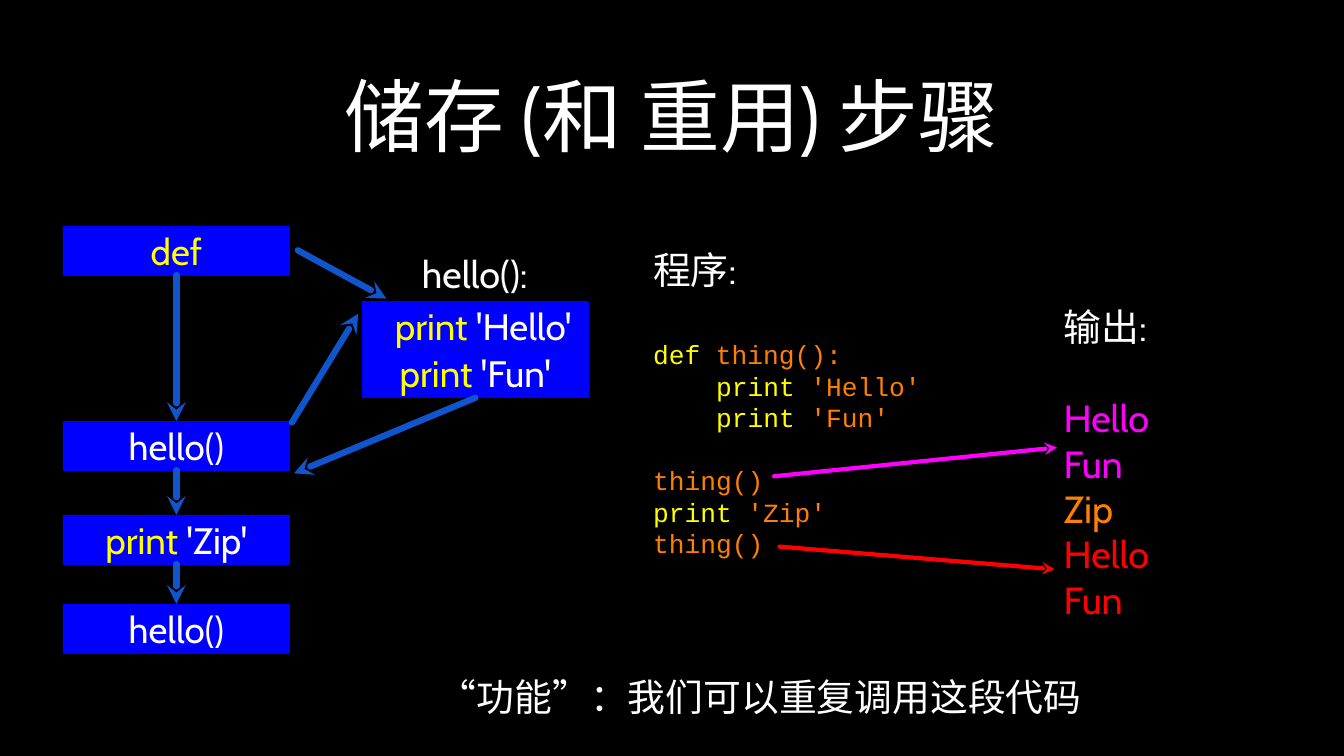
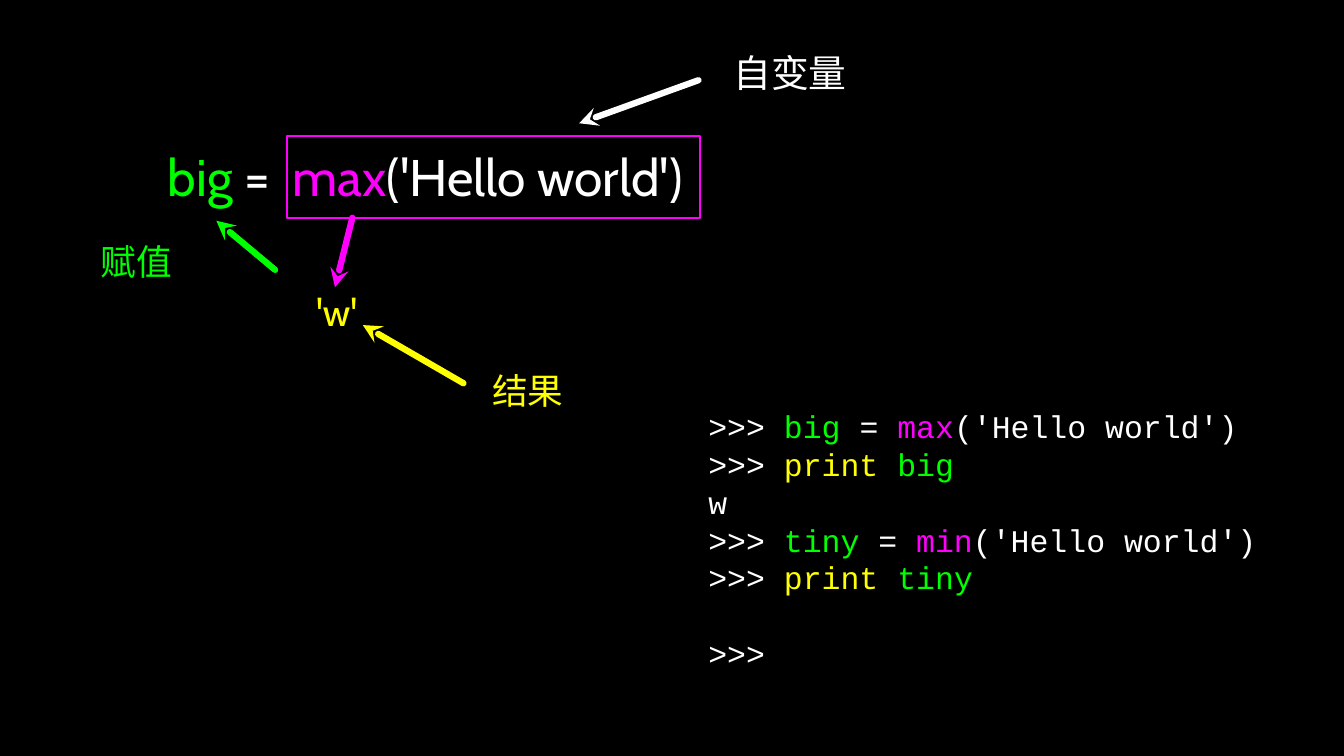
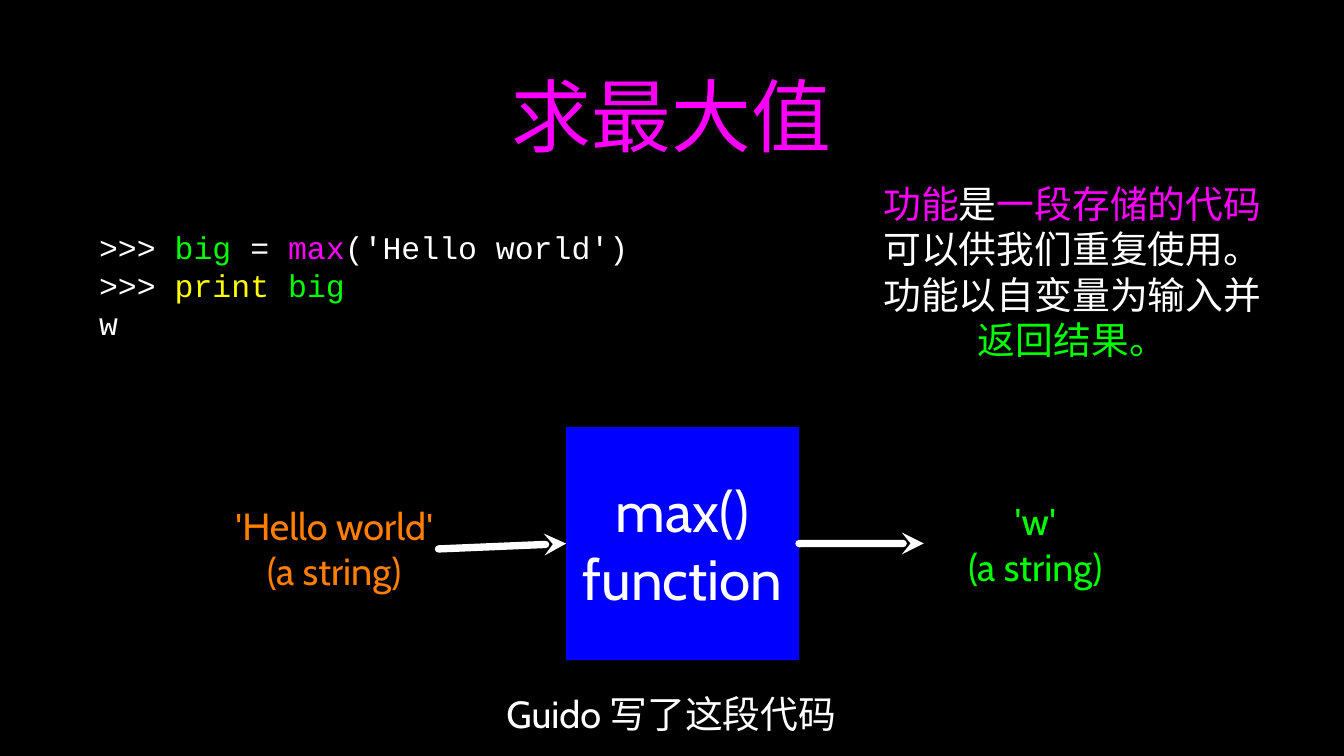
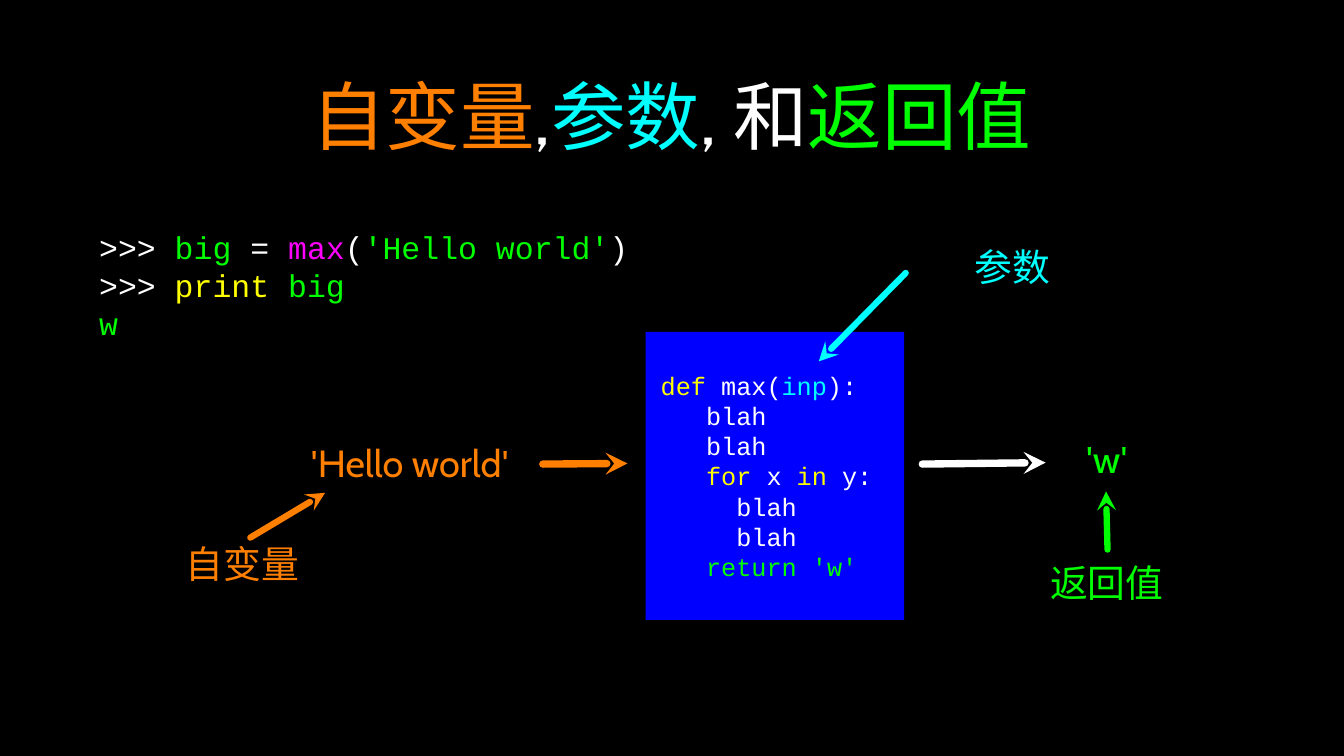
from dataclasses import dataclass
from itertools import pairwise

from lxml.etree import SubElement
from pptx import Presentation
from pptx.dml.color import RGBColor
from pptx.enum.shapes import MSO_CONNECTOR as Connector, MSO_SHAPE as Shape
from pptx.enum.text import MSO_ANCHOR as Anchor, PP_ALIGN as Align
from pptx.oxml.ns import qn
from pptx.util import Inches, Pt

CELL = 20  # points: the slide is a grid of 64 columns by 36 rows
TOP, LEFT, BOTTOM, RIGHT = range(4)


@dataclass(frozen=True)
class Theme:
    back: str = "000000"
    white: str = "FFFFFF"
    box: str = "0000FF"
    flow: str = "1155CC"
    yellow: str = "FFFF00"
    orange: str = "FF7F00"
    magenta: str = "FF00FF"
    red: str = "FF0000"
    green: str = "00FF00"
    cyan: str = "00FFFF"
    sans: str = "Cabin"
    plain: str = "Arial"
    mono: str = "Courier New"
    title: int = 76
    long_title: int = 71
    function: int = 54
    call: int = 49
    body: int = 36
    step: int = 35
    label: int = 34
    session: int = 30
    program: int = 25
    definition: int = 24
    row: float = 2.45  # height of a one-line label, in cells


T = Theme()


@dataclass(frozen=True)
class Box:
    """Area of the grid, in cells."""
    x: float
    y: float
    w: float = 0
    h: float = T.row

    def at(self, x, y, w=0, h=T.row):
        return Box(self.x + x, self.y + y, w, h)

    def emu(self):
        return [cells(v) for v in (self.x, self.y, self.w, self.h)]


@dataclass(frozen=True)
class Line:
    """Paragraph of (text, colour[, font]) runs; indent and gap in points."""
    runs: tuple
    indent: float = 0
    gap: float = 0
    size: int = 0
    font: str = ""


def line(*runs, **style):
    return Line(runs, **style)


def cells(value):
    return Pt(value * CELL)


def rgb(colour):
    return RGBColor.from_string(colour)


def write(shape, lines, size, font=T.sans, align=Align.CENTER, inset=0):
    frame = shape.text_frame
    frame.word_wrap = True
    frame.vertical_anchor = Anchor.MIDDLE
    frame.margin_left = frame.margin_right = Inches(inset)
    frame.margin_top = frame.margin_bottom = Inches(inset)
    for number, content in enumerate(lines):
        paragraph = frame.add_paragraph() if number else frame.paragraphs[0]
        paragraph.alignment = align
        paragraph.font.size = Pt(content.size or size)
        paragraph.font.name = content.font or font
        if content.gap:
            paragraph.space_before = Pt(content.gap)
        if content.indent:
            props = paragraph._p.get_or_add_pPr()
            props.set("marL", str(Pt(content.indent)))
            props.set("indent", "0")
        for words, colour, *own_font in content.runs:
            for row, row_words in enumerate(words.split("\n")):
                if row:
                    paragraph.add_line_break()
                run = paragraph.add_run()
                run.text = row_words
                run.font.color.rgb = rgb(colour)
                if own_font:
                    run.font.name = own_font[0]
    return shape


def text(slide, box, lines, size=T.body, **style):
    return write(slide.shapes.add_textbox(*box.emu()), lines, size, **style)


def label(slide, box, words, colour, size=T.body):
    return text(slide, box, [line((words, colour))], size)


def rectangle(slide, box, fill=None, outline=None, width=0.75):
    shape = slide.shapes.add_shape(Shape.RECTANGLE, *box.emu())
    shape.shadow.inherit = False
    if fill:
        shape.fill.solid()
        shape.fill.fore_color.rgb = rgb(fill)
    else:
        shape.fill.background()
    if outline:
        shape.line.color.rgb = rgb(outline)
        shape.line.width = Pt(width)
    else:
        shape.line.fill.background()
    return shape


def arrow(slide, tip, tail, colour, width=6):
    """Each end is a Box corner or a (rectangle, side) pair to join."""
    points = [(end.x, end.y) if isinstance(end, Box) else (0, 0) for end in (tip, tail)]
    link = slide.shapes.add_connector(
        Connector.STRAIGHT, *(cells(v) for point in points for v in point))
    if not isinstance(tip, Box):
        link.begin_connect(*tip)
    if not isinstance(tail, Box):
        link.end_connect(*tail)
    link.line.color.rgb = rgb(colour)
    link.line.width = Pt(width)
    outline = link.line._get_or_add_ln()
    outline.set("cap", "rnd")
    SubElement(outline, qn("a:headEnd"), type="stealth")
    SubElement(link._element.spPr, qn("a:effectLst"))


def new_slide(deck, *title_runs, size=T.title):
    slide = deck.slides.add_slide(deck.slide_layouts[6])
    slide.background.fill.solid()
    slide.background.fill.fore_color.rgb = rgb(T.back)
    if title_runs:
        text(slide, Box(4.54, 0.94, 54.86, 9.04), [line(*title_runs)], size, inset=0.04)
    return slide


def quoted(word, colour):
    return line(("'", colour, T.plain), (word, colour), ("'", colour, T.plain))


def prompt(*runs, **style):
    return line((">>> ", T.white), *runs, **style)


def assign(name, function, argument_colour=T.white):
    return prompt((name, T.green), (" = ", T.white), (function, T.magenta),
                  ("(", T.white), ("'Hello world'", argument_colour), (")", T.white))


def show(name):
    return prompt(("print ", T.yellow), (name, T.green))


def session(slide, box, lines):
    text(slide, box, lines, T.session, font=T.mono, align=Align.LEFT)


def call_flow(slide, box):
    """Steps run downwards; the stored function stands to their right."""
    def step(x, y, *runs, **style):
        shape = rectangle(slide, box.at(x, y, 10.8, 2.34), T.box, T.box)
        return write(shape, [line(*runs, **style)], T.step)

    hello = ("hello()", T.white)
    steps = [step(0, y, *runs) for y, runs in (
        (0, [("def", T.yellow)]),
        (9.29, [hello]),
        (13.76, [("print ", T.yellow), ("'Zip'", T.white)]),
        (18, [hello]))]
    label(slide, box.at(16.84, 1.05, 5.54), "hello():", T.white)
    step(14.24, 3.6, ("print", T.yellow), (" 'Hello'", T.white), indent=15)
    body_end = step(14.24, 5.84, ("print", T.yellow), (" 'Fun'", T.white))

    for upper, lower in pairwise(steps):
        arrow(slide, (lower, TOP), (upper, BOTTOM), T.flow)
    arrow(slide, box.at(15.4, 3.46), box.at(11.18, 1.16), T.flow)
    arrow(slide, box.at(14.06, 4.18), box.at(10.9, 9.36), T.flow)
    arrow(slide, box.at(11, 11.78), (body_end, BOTTOM), T.flow)


def program_and_output(slide, box):
    def stored(word):
        return line(("print", T.yellow), (f" '{word}'", T.orange), indent=60)

    text(slide, box.at(0, 0, 12.89, 14.98), [
        line(("程序:", T.white), size=T.body, font=T.sans),
        line(("def", T.yellow), (" thing():", T.orange), gap=44),
        stored("Hello"),
        stored("Fun"),
        line(("thing()", T.orange), gap=30),
        line(("print", T.yellow), (" 'Zip'", T.orange)),
        line(("thing()", T.orange)),
    ], T.program, font=T.mono, align=Align.LEFT)

    printed = (("Hello", T.magenta), ("Fun", T.magenta), ("Zip", T.orange),
               ("Hello", T.red), ("Fun", T.red))
    text(slide, box.at(19.55, 2.95, 12.46, 14.76),
         [line(("输出:", T.white))]
         + [line(run, gap=0 if i else 44) for i, run in enumerate(printed)],
         align=Align.LEFT)
    arrow(slide, box.at(19.23, 9.61), box.at(5.76, 10.98), T.magenta, 4)
    arrow(slide, box.at(19.12, 15.41), box.at(6.02, 14.33), T.red, 4)


def annotated_call(slide, box):
    statement = text(slide, box.at(6.69, 4.57, 24.59, 3.2), [
        line(("big", T.green), (" =", T.white), (" ", T.white), ("max", T.magenta),
             ("('Hello world')", T.white))], T.call, align=Align.LEFT)
    gap = statement.text_frame.paragraphs[0].runs[2]
    gap.font._element.set("spc", "1050")
    rectangle(slide, box.at(12.38, 4.28, 19.66, 3.89), outline=T.magenta, width=2)

    label(slide, box.at(32.43, 0.03, 7.78), "自变量", T.white)
    label(slide, box.at(13.53, 11.41, 2.41), "'w'", T.yellow)
    label(slide, box.at(21.34, 15.15, 5), "结果", T.yellow, T.label)
    label(slide, box.at(0.03, 9.03, 10.33), "赋值", T.green, T.label)
    for tip, tail, colour in (
            ((26.28, 3.67), (31.96, 1.62), T.white),
            ((15.98, 13.28), (20.77, 16.05), T.yellow),
            ((9, 8.31), (11.8, 10.65), T.green),
            ((14.65, 11.48), (15.48, 8.17), T.magenta)):
        arrow(slide, box.at(*tip), box.at(*tail), colour)


def max_machine(slide, box):
    """Input, function box and result, from left to right."""
    machine = rectangle(slide, box.at(16.66, 0, 11.09, 11.09), T.box)
    write(machine, [line((word, T.white)) for word in ("max()", "function")], T.function)
    for x, y, width, word, colour in ((0, 3.49, 11.23, "Hello world", T.orange),
                                      (35.53, 3.28, 6.95, "w", T.green)):
        text(slide, box.at(x, y, width, 4.5),
             [quoted(word, colour), line(("(a string)", colour))])
    arrow(slide, (machine, LEFT), box.at(10.58, 5.8), T.white, 7)
    arrow(slide, box.at(33.69, 5.54), (machine, RIGHT), T.white, 7)


def max_definition(slide, box):
    char = T.definition * 0.6  # advance of one monospaced character

    def code(columns, *runs):
        return line(*runs, indent=columns * char)

    def blah(columns):
        return code(columns, ("blah", T.white))

    body = rectangle(slide, box.at(22.68, 4.4, 12.31, 13.72), T.box)
    write(body, [
        code(1, ("def", T.yellow), (" max(", T.white), ("inp", T.cyan), ("):", T.white)),
        blah(4),
        blah(4),
        code(4, ("for", T.yellow), (" x ", T.white), ("in", T.yellow), (" y:", T.white)),
        blah(6),
        blah(6),
        code(4, ("return 'w'", T.green)),
    ], T.definition, font=T.mono, align=Align.LEFT)

    text(slide, box.at(5.84, 9.41, 11.23), [quoted("Hello world", T.orange)])
    text(slide, box.at(43.38, 9.19, 2.52), [quoted("w", T.green)])
    label(slide, box.at(0, 14.2, 6.98), "自变量", T.orange)
    label(slide, box.at(36.15, 0.05, 8.03), "参数", T.cyan)
    label(slide, box.at(41.44, 15.13, 6.41), "返回值", T.green)
    for tip, tail, colour, width in (
            ((21.82, 10.67), (17.79, 10.7), T.orange, 7),
            ((41.73, 10.63), (35.86, 10.7), T.white, 7),
            ((7.42, 12.07), (3.86, 14.2), T.orange, 6),
            ((30.93, 5.81), (35.07, 1.6), T.cyan, 6),
            ((44.61, 12), (44.68, 14.77), T.green, 6)):
        arrow(slide, box.at(*tip), box.at(*tail), colour, width)


def stored_steps(deck):
    slide = new_slide(deck, ("储存 (和 重用) 步骤", T.white))
    call_flow(slide, Box(3, 10.76))
    program_and_output(slide, Box(31.1, 11.7))
    text(slide, Box(15.23, 31.93, 41.94), [
        line(("“", T.white, T.plain), ("功能", T.white), ("”：", T.white, T.plain),
             ("我们可以重复调用这段代码", T.white))])


def argument_and_result(deck):
    slide = new_slide(deck)
    annotated_call(slide, Box(1.3, 2.2))
    session(slide, Box(33.73, 19.19, 27.5, 13), [
        assign("big", "max"), show("big"), line(("w", T.white)),
        assign("tiny", "min"), show("tiny"), line((">>>", T.white), gap=36)])


def find_maximum(deck):
    slide = new_slide(deck, ("求最大值", T.magenta))
    session(slide, Box(4.72, 10.3, 28.08, 6.55),
            [assign("big", "max"), show("big"), line(("w", T.white))])
    text(slide, Box(41.22, 7.38, 19.69, 11.09), [
        line(("功能", T.magenta), ("是", T.white), ("一段存储的代码", T.magenta),
             ("可以供我们重复使用。\n功能以自变量为输入并", T.white),
             ("返回结果。", T.green))])
    max_machine(slide, Box(10.3, 20.34))
    label(slide, Box(23.44, 32.76, 17.06), "Guido 写了这段代码", T.white)


def arguments_and_parameters(deck):
    slide = new_slide(deck, ("自变量", T.orange), (",", T.white), ("参数", T.cyan),
                      (", 和", T.white), ("返回值", T.green), size=T.long_title)
    session(slide, Box(4.72, 10.3, 29.74, 6.55),
            [assign("big", "max", T.green), show("big"), line(("w", T.green))])
    max_definition(slide, Box(8.06, 11.4))


def main():
    deck = Presentation()
    deck.slide_width, deck.slide_height = cells(64), cells(36)
    for build in (stored_steps, argument_and_result, find_maximum,
                  arguments_and_parameters):
        build(deck)
    deck.save("out.pptx")


if __name__ == "__main__":
    main()
